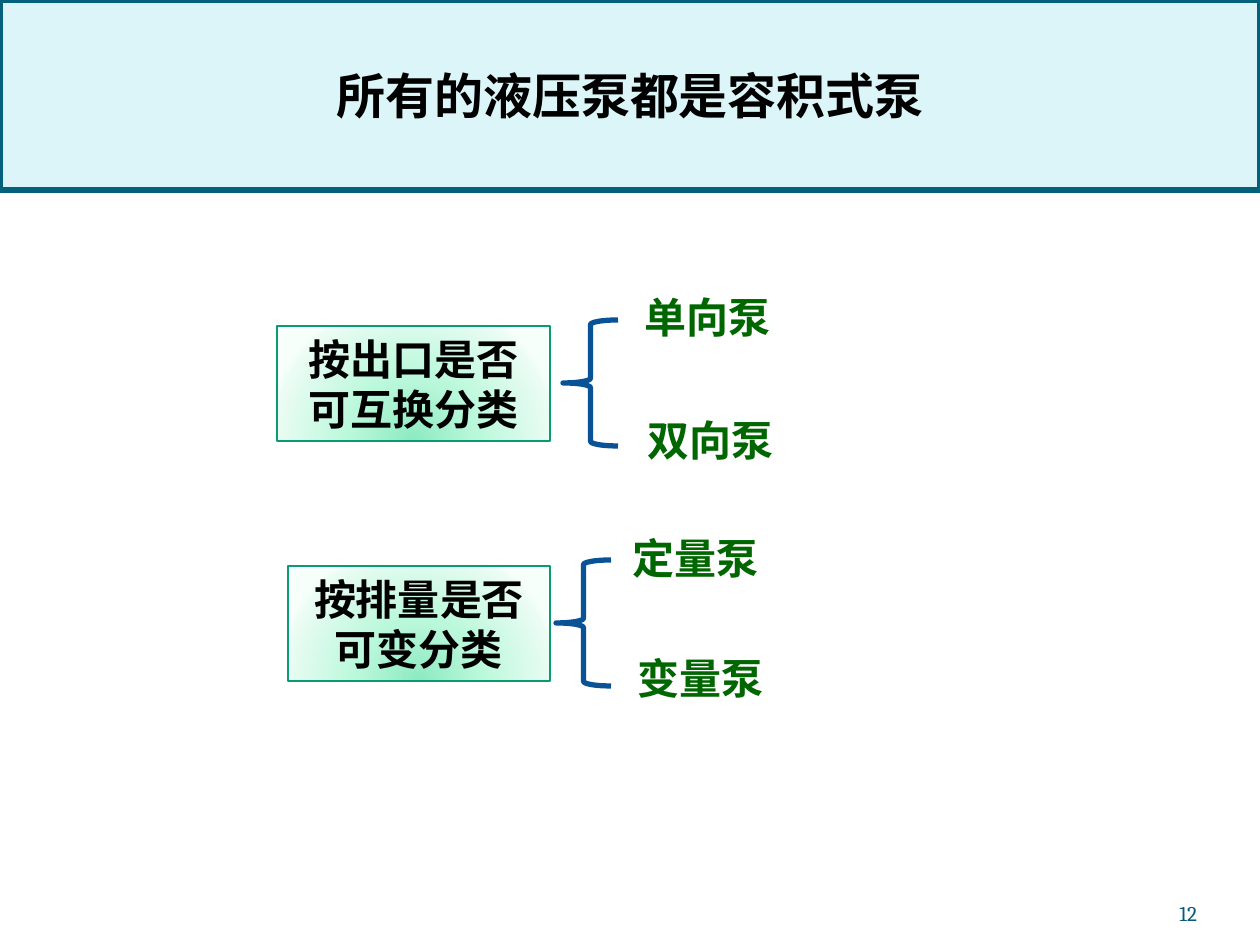
from pptx import Presentation
from pptx.dml.color import RGBColor
from pptx.enum.shapes import MSO_SHAPE
from pptx.enum.text import MSO_ANCHOR, MSO_AUTO_SIZE, PP_ALIGN
from pptx.oxml import parse_xml
from pptx.oxml.ns import nsdecls, qn
from pptx.util import Emu, Pt

COLORS = {
    "black": "000000", "label": "006600", "band": "DBF5F9", "band_line": "04617B",
    "box_line": "0A9B74", "brace": "095295", "number": "045D75",
}
GLOW_STOPS = ((0, "8DEAC2"), (43, "BAF8DB"), (93, "EAFCF3"), (100, "F7FFFB"))
CHINESE_FONT = "Noto Sans CJK SC"
GROUPS = (
    ((277, 326, 273, 115), "按出口是否\n可互换分类", (563, 320, 55, 126),
     (("单向泵", 632, 285), ("双向泵", 635, 408))),
    ((288, 566, 262, 115), "按排量是否\n可变分类", (556, 560, 55, 126),
     (("定量泵", 620, 526), ("变量泵", 625, 646))),
)


class SlideBuilder:
    """Holds the style and the current slide, and adds each kind of element."""

    def __init__(self, presentation, scale=914400 / 126):
        self.scale = scale
        self.slide = presentation.slides.add_slide(presentation.slide_layouts[5])

    def place(self, *lengths):
        return [Emu(round(length * self.scale)) for length in lengths]

    def color(self, name):
        return RGBColor.from_string(COLORS[name])

    def outline(self, shape, color, width):
        shape.line.color.rgb = self.color(color)
        shape.line.width = Pt(width)

    def set_text(self, shape, text, size, color, align, bold=True, font=CHINESE_FONT,
                 anchor=MSO_ANCHOR.MIDDLE):
        frame = shape.text_frame
        frame.text = text
        frame.word_wrap = True
        frame.auto_size = MSO_AUTO_SIZE.NONE
        frame.vertical_anchor = anchor
        for paragraph in frame.paragraphs:
            paragraph.alignment = align
            for run in paragraph.runs:
                run.font.size = Pt(size)
                run.font.bold = bold
                run.font.color.rgb = self.color(color)
                run.font.name = font
                run.font._element.find(qn("a:latin")).addnext(
                    parse_xml(f'<a:ea {nsdecls("a")} typeface="{font}"/>'))

    def title(self, text, bounds):
        shape = self.slide.shapes.title
        shape.left, shape.top, shape.width, shape.height = self.place(*bounds)
        shape.fill.solid()
        shape.fill.fore_color.rgb = self.color("band")
        self.outline(shape, "band_line", 3)
        self.set_text(shape, text, 28, "black", PP_ALIGN.CENTER)

    def category(self, text, bounds):
        shape = self.slide.shapes.add_shape(MSO_SHAPE.RECTANGLE, *self.place(*bounds))
        shape.shadow.inherit = False
        shape.fill.gradient()
        stops = "".join(f'<a:gs pos="{position * 1000}"><a:srgbClr val="{color}"/></a:gs>'
                        for position, color in GLOW_STOPS)
        properties = shape._element.spPr
        properties.replace(properties.find(qn("a:gradFill")), parse_xml(
            f'<a:gradFill {nsdecls("a")} rotWithShape="1"><a:gsLst>{stops}</a:gsLst>'
            '<a:path path="circle"><a:fillToRect l="50000" t="130000" r="50000" b="-30000"/>'
            '</a:path></a:gradFill>'))
        self.outline(shape, "box_line", 0.75)
        self.set_text(shape, text, 24, "black", PP_ALIGN.CENTER)

    def brace(self, bounds):
        shape = self.slide.shapes.add_shape(MSO_SHAPE.LEFT_BRACE, *self.place(*bounds))
        shape.shadow.inherit = False
        shape.fill.background()
        self.outline(shape, "brace", 3)

    def label(self, text, left, top):
        shape = self.slide.shapes.add_textbox(*self.place(left, top, 273, 63))
        self.set_text(shape, text, 24, "label", PP_ALIGN.LEFT)

    def page_number(self, text, bounds):
        shape = self.slide.shapes.add_textbox(*self.place(*bounds))
        frame = shape.text_frame
        frame.margin_left = frame.margin_top = frame.margin_right = frame.margin_bottom = 0
        self.set_text(shape, text, 12, "number", PP_ALIGN.RIGHT, bold=False, font="Cambria",
                      anchor=MSO_ANCHOR.BOTTOM)


def main():
    presentation = Presentation()
    presentation.slide_width = Emu(9144000)
    presentation.slide_height = Emu(6858000)
    builder = SlideBuilder(presentation)
    builder.title("所有的液压泵都是容积式泵", (0, 0, 1260, 190))
    for box_bounds, category, brace_bounds, labels in GROUPS:
        builder.category(category, box_bounds)
        builder.brace(brace_bounds)
        for text, left, top in labels:
            builder.label(text, left, top)
    builder.page_number("12", (1092, 876, 105, 50))
    presentation.save("out.pptx")


if __name__ == "__main__":
    main()
